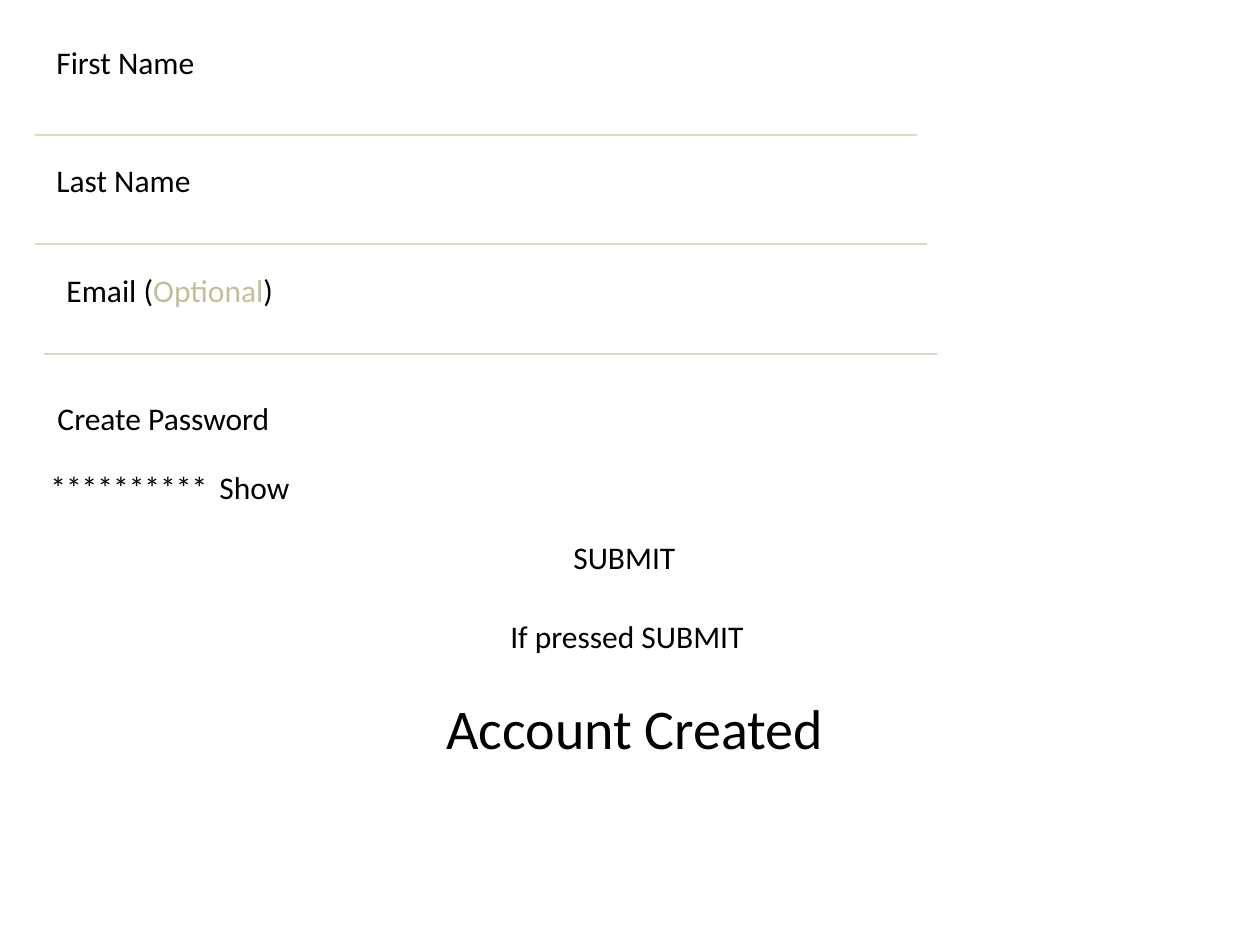
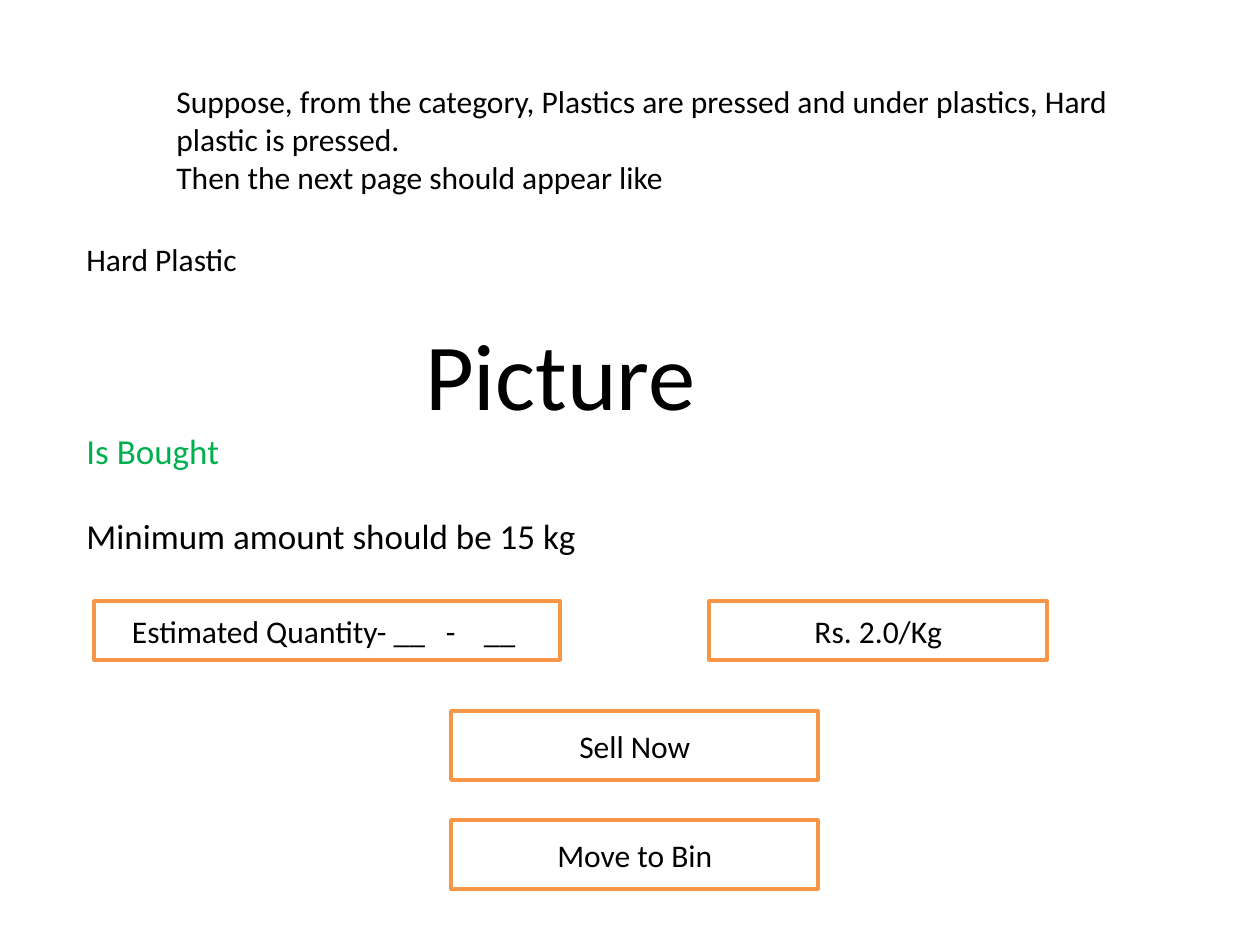
from lxml.etree import SubElement
from pptx import Presentation
from pptx.dml.color import RGBColor
from pptx.enum.shapes import MSO_CONNECTOR, MSO_SHAPE
from pptx.enum.text import MSO_ANCHOR, MSO_AUTO_SIZE, PP_ALIGN
from pptx.oxml.ns import qn
from pptx.util import Inches, Pt

PX = Inches(1) / 126
FONT = "Calibri"
COLORS = {"ink": "000000", "paper": "FFFFFF", "rule": "DDD9C3",
          "hint": "C4BD97", "bought": "00B050", "box": "F79646"}
MID, LEFT = PP_ALIGN.CENTER, PP_ALIGN.LEFT


def para(*runs, size=18, align=LEFT, gap=0, indent=0, tabs=()):
    return {"runs": runs, "size": size, "align": align,
            "gap": gap, "indent": indent, "tabs": tabs}


FIELDS = [
    (44, 37, 165, [("First Name", "ink")], (35, 135, 917)),
    (44, 155, 161, [("Last Name", "ink")], (35, 244, 927)),
    (54, 265, 234, [("Email (", "ink"), ("Optional", "hint"), (")", "ink")],
     (44, 354, 937)),
]

FORM = [
    ((44, 393, 239, 50), False, [para(("Create Password", "ink"), align=MID)]),
    ((38, 462, 267, 50), True, [para(("**********\tShow", "ink"), tabs=(169,))]),
    ((561, 532, 129, 50), False, [para(("SUBMIT", "ink"))]),
    ((223, 611, 724, 158), True, [
        para(("If pressed SUBMIT", "ink"), align=MID, indent=84),
        para(("Account Created", "ink"), size=32, align=MID, gap=22, indent=100),
    ]),
]

ITEM = [
    ((164, 76, 992, 127), True, [
        para(("Suppose, from the category, Plastics are pressed and under "
              "plastics, Hard plastic is pressed.", "ink")),
        para(("Then the next page should appear like", "ink")),
    ]),
    ((74, 234, 973, 373), True, [
        para(("Hard Plastic", "ink")),
        para(("Picture", "ink"), size=54, align=MID, gap=22),
        para(("Is Bought", "bought"), size=20),
        para(("Minimum amount should be 15 kg", "ink"), size=20, gap=24.4),
    ]),
]

BOXES = [
    ((94, 601, 466, 59), 38,
     para(("Estimated Quantity- __\t-\t__", "ink"), tabs=(314, 352))),
    ((709, 601, 338, 59), 13, para(("Rs. 2.0/Kg", "ink"), align=MID)),
    ((451, 711, 367, 69), 13, para(("Sell Now", "ink"), align=MID)),
    ((451, 820, 367, 69), 13, para(("Move to Bin", "ink"), align=MID)),
]


def emu(*nums):
    return [round(n * PX) for n in nums]


def hue(name):
    return RGBColor.from_string(COLORS[name])


def put(obj, vals):
    for key, val in vals.items():
        setattr(obj, key, val)


def write(frame, paras):
    for num, item in enumerate(paras):
        line = frame.add_paragraph() if num else frame.paragraphs[0]
        put(line, {"alignment": item["align"], "space_before": Pt(item["gap"])})
        props = line._p.get_or_add_pPr()
        if item["indent"]:
            props.set("marL", str(emu(item["indent"])[0]))
        if item["tabs"]:
            stops = SubElement(props, qn("a:tabLst"))
            for pos in emu(*item["tabs"]):
                SubElement(stops, qn("a:tab"), pos=str(pos), algn="l")
        for words, color in item["runs"]:
            run = line.add_run()
            run.text = words
            put(run.font, {"name": FONT, "size": Pt(item["size"])})
            run.font.color.rgb = hue(color)


def text(slide, area, wrap, paras):
    frame = slide.shapes.add_textbox(*emu(*area)).text_frame
    put(frame, {"word_wrap": wrap, "auto_size": MSO_AUTO_SIZE.SHAPE_TO_FIT_TEXT})
    write(frame, paras)


def rule(slide, left, top, right):
    line = slide.shapes.add_connector(
        MSO_CONNECTOR.STRAIGHT, *emu(left, top, right, top))
    line.line.color.rgb = hue("rule")
    line.line.width = Pt(0.75)
    SubElement(line._element.spPr, qn("a:effectLst"))


def box(slide, area, inset, item):
    shape = slide.shapes.add_shape(MSO_SHAPE.RECTANGLE, *emu(*area))
    shape.shadow.inherit = False
    shape.fill.solid()
    shape.fill.fore_color.rgb = hue("paper")
    shape.line.color.rgb = hue("box")
    shape.line.width = Pt(2)
    put(shape.text_frame, {"word_wrap": True, "margin_left": emu(inset)[0],
                           "vertical_anchor": MSO_ANCHOR.MIDDLE})
    write(shape.text_frame, [item])


def main():
    deck = Presentation()
    put(deck, {"slide_width": Inches(10), "slide_height": Inches(7.5)})
    blank = deck.slide_layouts[6]
    form, page = [deck.slides.add_slide(blank) for _ in range(2)]
    for args in FORM:
        text(form, *args)
    for left, top, width, runs, ends in FIELDS:
        text(form, (left, top, width, 50), False, [para(*runs)])
        rule(form, *ends)
    for args in ITEM:
        text(page, *args)
    for args in BOXES:
        box(page, *args)
    deck.save("out.pptx")


if __name__ == "__main__":
    main()
